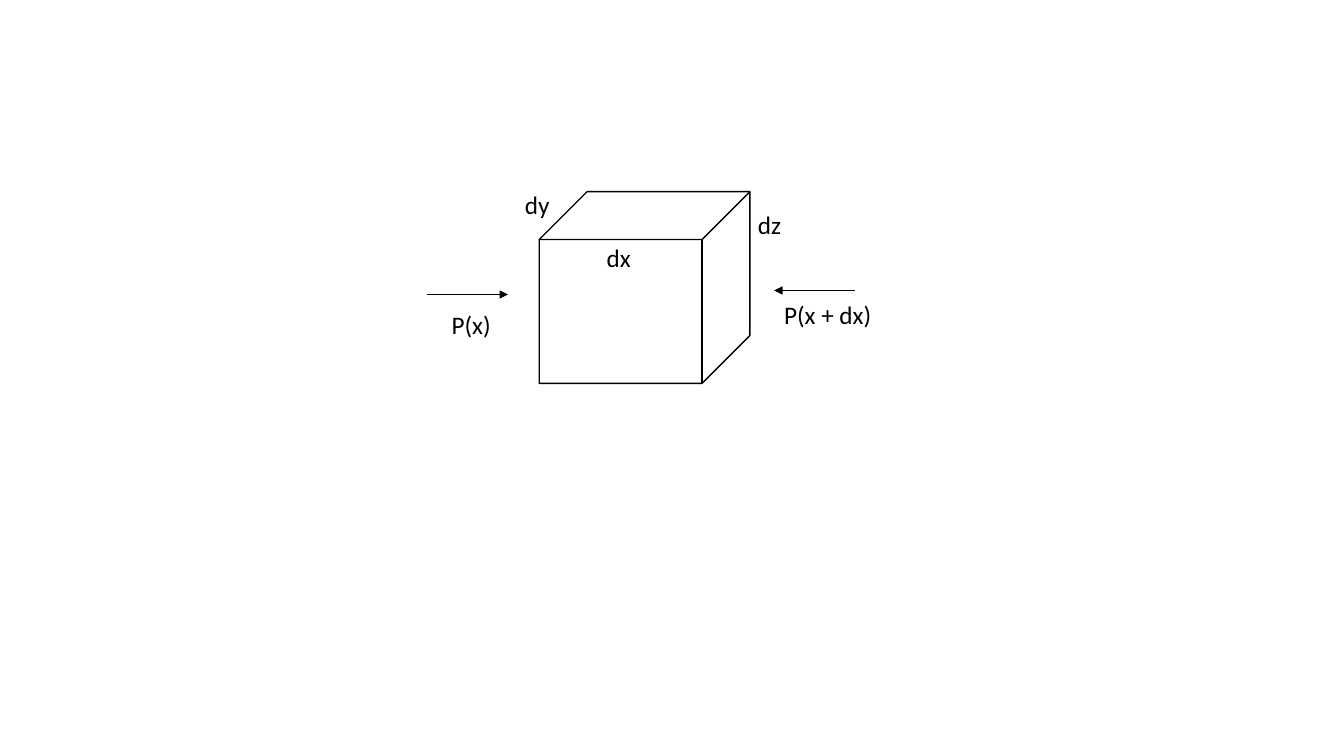
from lxml.etree import SubElement
from pptx import Presentation
from pptx.dml.color import RGBColor
from pptx.enum.shapes import MSO_CONNECTOR as Connector, MSO_SHAPE as Shape
from pptx.enum.text import MSO_AUTO_SIZE as AutoSize
from pptx.oxml.ns import qn
from pptx.util import Cm, Pt

BLACK = "000000"
LABEL_HEIGHT = 1.02
EDGE_LABEL_WIDTH = 1.47
LABEL_FONT = {"name": "Calibri", "size": Pt(18)}

# text, left, top, width in centimetres
LABELS = [
    ("P(x)", 11.13, 7.67, 1.96),
    ("P(x + dx)", 19.51, 7.42, 3.02),
    ("dx", 15.04, 5.97, EDGE_LABEL_WIDTH),
    ("dy", 12.98, 4.65, EDGE_LABEL_WIDTH),
    ("dz", 18.85, 5.16, EDGE_LABEL_WIDTH),
]

# start x, end x, y in centimetres
PRESSURE_ARROWS = [(10.77, 12.8, 7.42), (21.54, 19.51, 7.32)]


def set_color(color_format, value):
    color_format.rgb = RGBColor.from_string(value)


def set_line(shape, points):
    set_color(shape.line.color, BLACK)
    shape.line.width = Pt(points)


def add_cube(shapes, left, top, width, height):
    cube = shapes.add_shape(Shape.CUBE, Cm(left), Cm(top), Cm(width), Cm(height))
    cube.shadow.inherit = False
    cube.fill.background()
    set_line(cube, 1)


def add_arrow(shapes, start, end, y):
    """Add a horizontal line with a triangle head at its end."""
    arrow = shapes.add_connector(Connector.STRAIGHT, Cm(start), Cm(y), Cm(end), Cm(y))
    set_line(arrow, 0.5)
    SubElement(arrow.line._get_or_add_ln(), qn("a:tailEnd"), type="triangle")
    SubElement(arrow._element.spPr, qn("a:effectLst"))


def add_label(shapes, text, left, top, width):
    label = shapes.add_textbox(Cm(left), Cm(top), Cm(width), Cm(LABEL_HEIGHT))
    frame = label.text_frame
    frame.word_wrap = True
    frame.auto_size = AutoSize.SHAPE_TO_FIT_TEXT
    run = frame.paragraphs[0].add_run()
    run.text = text
    for name, value in LABEL_FONT.items():
        setattr(run.font, name, value)
    set_color(run.font.color, BLACK)


def main():
    presentation = Presentation()
    presentation.slide_width, presentation.slide_height = Cm(33.87), Cm(19.05)
    slide = presentation.slides.add_slide(presentation.slide_layouts[6])
    shapes = slide.shapes.add_group_shape().shapes

    add_cube(shapes, 13.59, 4.83, 5.31, 4.83)
    for arrow in PRESSURE_ARROWS:
        add_arrow(shapes, *arrow)
    for label in LABELS:
        add_label(shapes, *label)

    presentation.save("out.pptx")


if __name__ == "__main__":
    main()
